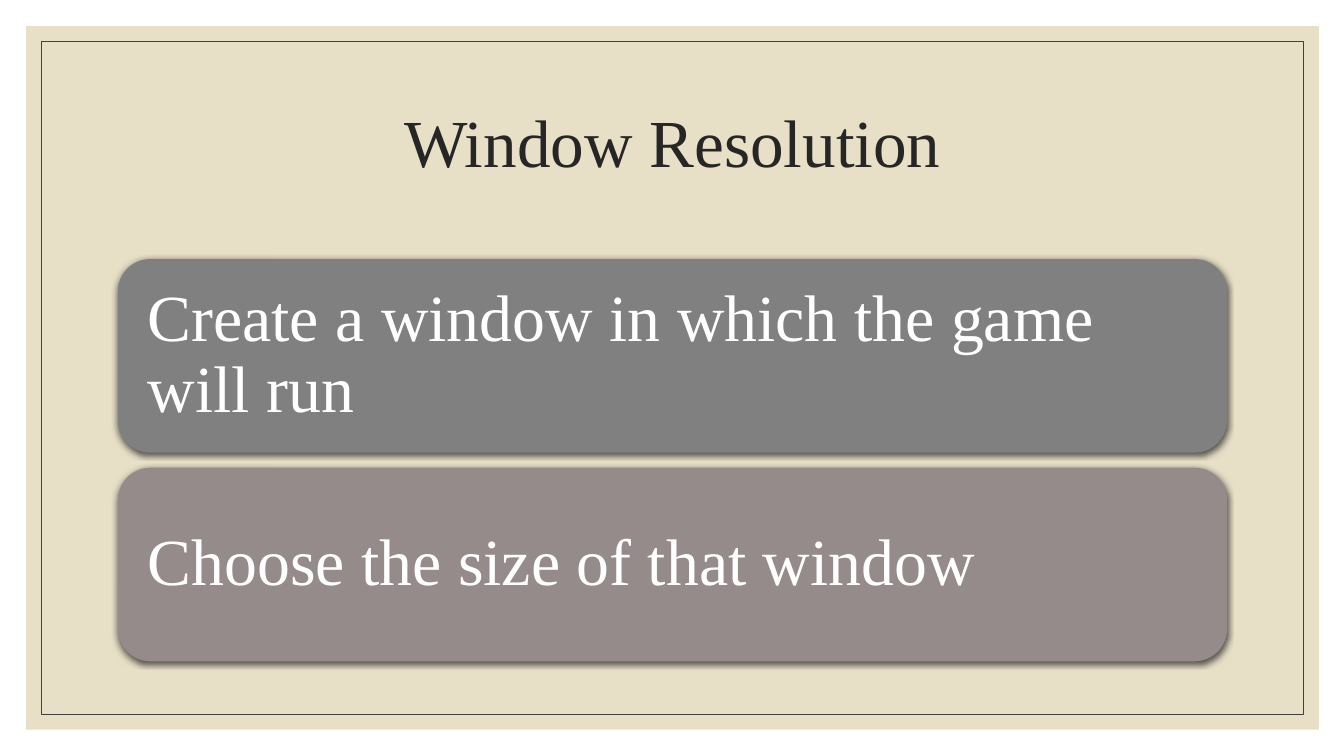
"""Build the Window Resolution slide."""
from lxml.etree import fromstring
from pptx import Presentation
from pptx.dml.color import RGBColor
from pptx.enum.shapes import MSO_SHAPE
from pptx.enum.text import MSO_ANCHOR, PP_ALIGN
from pptx.util import Inches, Pt

TITLE = "Window Resolution"
CARDS = [
    ("Create a window in which the game will run", "gray"),
    ("Choose the size of that window", "mauve"),
]
COLORS = {"sand": "E7E0C7", "rule": "404040", "ink": "262626",
          "gray": "808080", "mauve": "968B8B", "white": "FFFFFF"}
FONT = "Times New Roman"
LEFT, WIDTH = 1.17, 11
TOP, HEIGHT, STEP = 2.57, 1.92, 2.07
SHADOW = (
    '<a:effectLst xmlns:a="http://schemas.openxmlformats.org/drawingml/2006/main">'
    '<a:outerShdw blurRad="57150" dist="19050" dir="5400000" algn="ctr" rotWithShape="0">'
    '<a:srgbClr val="000000"><a:alpha val="63000"/></a:srgbClr>'
    '</a:outerShdw></a:effectLst>'
)


def color(name):
    return RGBColor.from_string(COLORS[name])


def add_box(slide, kind, box, fill=None, line=None):
    shape = slide.shapes.add_shape(kind, *map(Inches, box))
    shape.shadow.inherit = False
    if fill:
        shape.fill.solid()
        shape.fill.fore_color.rgb = color(fill)
    else:
        shape.fill.background()
    if line:
        shape.line.color.rgb = color(line)
        shape.line.width = Pt(0.5)
    else:
        shape.line.fill.background()
    return shape


def set_text(shape, text, size, ink, align):
    frame = shape.text_frame
    frame.text = text
    frame.word_wrap = True
    frame.vertical_anchor = MSO_ANCHOR.MIDDLE
    para = frame.paragraphs[0]
    para.alignment = align
    para.line_spacing = 0.9
    para.font.name = FONT
    para.font.size = Pt(size)
    para.font.color.rgb = color(ink)
    return frame


def add_card(slide, index, text, fill):
    card = add_box(slide, MSO_SHAPE.ROUNDED_RECTANGLE,
                   (LEFT, TOP + index * STEP, WIDTH, HEIGHT), fill)
    props = card.element.spPr
    props.replace(props.find("{*}effectLst"), fromstring(SHADOW))
    frame = set_text(card, text, 47, "white", PP_ALIGN.LEFT)
    frame.margin_left = frame.margin_right = Inches(0.2)
    frame.margin_top = frame.margin_bottom = Inches(0.2)


def main():
    deck = Presentation()
    deck.slide_width, deck.slide_height = Inches(13.33), Inches(7.5)
    slide = deck.slides.add_slide(deck.slide_layouts[5])
    title = slide.shapes.title
    title.left, title.top = Inches(LEFT), Inches(0.7)
    title.width, title.height = Inches(WIDTH), Inches(1.5)
    set_text(title, TITLE, 48, "ink", PP_ALIGN.CENTER)

    panel = add_box(slide, MSO_SHAPE.RECTANGLE, (0.26, 0.26, 12.82, 6.98), fill="sand")
    frame = add_box(slide, MSO_SHAPE.RECTANGLE, (0.41, 0.41, 12.52, 6.68), line="rule")
    for back in (panel, frame):
        title.element.addprevious(back.element)

    for index, (text, fill) in enumerate(CARDS):
        add_card(slide, index, text, fill)
    deck.save("out.pptx")


if __name__ == "__main__":
    main()
